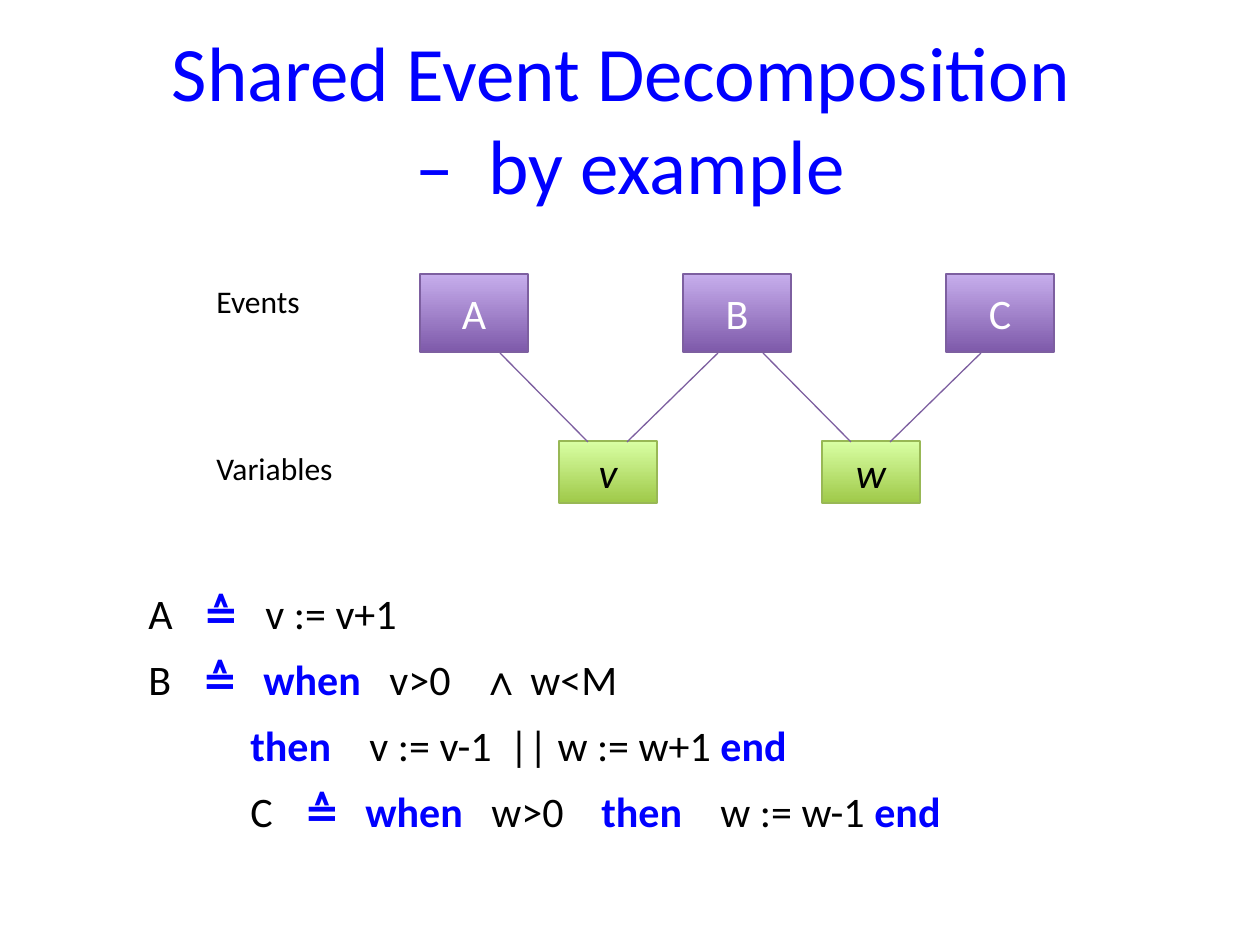
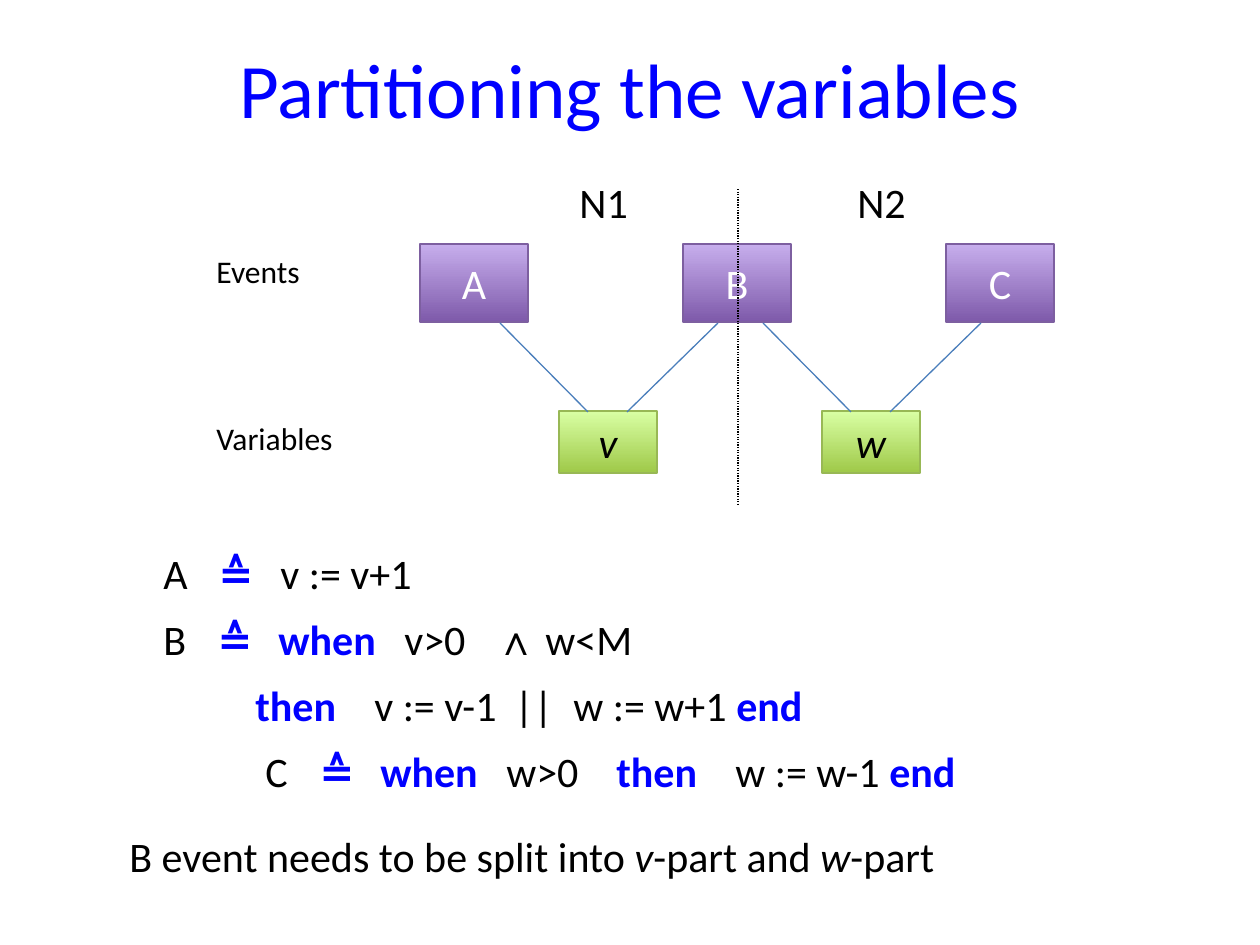
from dataclasses import dataclass

from pptx import Presentation
from pptx.dml.color import RGBColor
from pptx.enum.dml import MSO_LINE_DASH_STYLE as Dash
from pptx.enum.shapes import MSO_CONNECTOR as Connector, MSO_SHAPE as Preset
from pptx.enum.text import MSO_ANCHOR as Anchor, PP_ALIGN as Align
from pptx.oxml.ns import qn
from pptx.util import Emu, Pt
from lxml.etree import SubElement

PX_PER_INCH = 126
TITLE_ONLY = 5


@dataclass(frozen=True)
class Theme:
    font: str = "Calibri"
    symbol_font: str = "Arial"
    blue: str = "0000FF"
    black: str = "000000"
    white: str = "FFFFFF"
    event_fill: tuple = ("7E5AAA", "C7AEED")
    event_line: str = "7D5FA0"
    variable_fill: tuple = ("9FC949", "D9FFA4")
    variable_line: str = "98B855"
    link_blue: str = "4A7EBB"
    title_size: int = 44
    body_size: int = 24
    label_size: int = 18
    line_width: float = 0.75
    code_gap: int = 9


THEME = Theme()

# Run styles: what differs from plain black body text
PLAIN = {}
KEYWORD = {"color": THEME.blue, "bold": True}
SYMBOL = {"font": THEME.symbol_font}
ITALIC = {"italic": True}
LABEL = {"size": THEME.label_size}
TITLE = {"size": THEME.title_size, "color": THEME.blue}

# Diagram grid
PITCH = 263
EVENT_LEFT, EVENT_WIDTH, EVENT_HEIGHT = 420, 108, 78
VARIABLE_LEFT, VARIABLE_WIDTH, VARIABLE_HEIGHT = 559, 98, 62
VARIABLE_DROP = 167


def px(length):
    return Emu(round(length * 914400 / PX_PER_INCH))


def rgb(value):
    return RGBColor.from_string(value)


# Text
def add_run(paragraph, text, size=THEME.body_size, color=THEME.black,
            font=THEME.font, bold=False, italic=False):
    run = paragraph.add_run()
    run.text = text
    run.font.name = font
    run.font.size = Pt(size)
    run.font.color.rgb = rgb(color)
    run.font.bold = bold
    run.font.italic = italic


def add_runs(paragraph, runs):
    for text, style in runs:
        add_run(paragraph, text, **style)


def set_tab_stops(paragraph, stops):
    tab_list = SubElement(paragraph._p.get_or_add_pPr(), qn("a:tabLst"))
    for stop in stops:
        SubElement(tab_list, qn("a:tab"), pos=str(px(stop)), algn="l")


def add_text(shapes, box, runs):
    frame = shapes.add_textbox(*map(px, box)).text_frame
    frame.word_wrap = True
    add_runs(frame.paragraphs[0], runs)
    return frame


def set_title(slide, box, lines):
    title = slide.shapes.title
    title.left, title.top, title.width, title.height = map(px, box)
    title.text_frame.vertical_anchor = Anchor.MIDDLE
    paragraph = title.text_frame.paragraphs[0]
    paragraph.alignment = Align.CENTER
    for index, line in enumerate(lines):
        if index:
            paragraph.add_line_break()
        add_run(paragraph, line, **TITLE)


# Diagram parts
def add_box(shapes, box, text, style, gradient, outline):
    shape = shapes.add_shape(Preset.RECTANGLE, *map(px, box))
    shape.shadow.inherit = False
    shape.fill.gradient()
    shape.fill.gradient_angle = 90
    for stop, color in zip(shape.fill.gradient_stops, gradient):
        stop.color.rgb = rgb(color)
    shape.line.color.rgb = rgb(outline)
    shape.line.width = Pt(THEME.line_width)
    shape.text_frame.vertical_anchor = Anchor.MIDDLE
    paragraph = shape.text_frame.paragraphs[0]
    paragraph.alignment = Align.CENTER
    add_run(paragraph, text, **style)


def add_line(shapes, start, end, color, dash=None):
    line = shapes.add_connector(Connector.STRAIGHT, *map(px, start + end))
    line.line.color.rgb = rgb(color)
    line.line.width = Pt(THEME.line_width)
    if dash:
        line.line.dash_style = dash
    SubElement(line._element.spPr, qn("a:effectLst"))


def add_diagram(slide, top, link_color):
    """Events in the upper row, each variable linked to the two beside it."""
    shapes = slide.shapes.add_group_shape().shapes
    variable_top = top + VARIABLE_DROP
    add_text(shapes, (204, top + 2, 131, 49), [("Events", LABEL)])
    add_text(shapes, (204, variable_top + 2, 170, 49), [("Variables", LABEL)])
    for column, event in enumerate("ABC"):
        box = (EVENT_LEFT + column * PITCH, top, EVENT_WIDTH, EVENT_HEIGHT)
        add_box(shapes, box, event, {"color": THEME.white},
                THEME.event_fill, THEME.event_line)
    for column, variable in enumerate("vw"):
        shift = column * PITCH
        box = (VARIABLE_LEFT + shift, variable_top,
               VARIABLE_WIDTH, VARIABLE_HEIGHT)
        add_box(shapes, box, variable, ITALIC,
                THEME.variable_fill, THEME.variable_line)
        for event_x, variable_x in ((500, 588), (718, 627)):
            add_line(shapes, (event_x + shift, top + EVENT_HEIGHT + 1),
                     (variable_x + shift, variable_top + 1), link_color)
    return shapes


# Event definitions, aligned with tab stops
def add_event_code(slide, box, then_stops, then_action):
    lines = [
        ((55, 117), [("A", PLAIN), ("\t≙\t", KEYWORD), ("v := v+1", PLAIN)]),
        ((54, 115, 241, 332, 382),
         [("B", PLAIN), ("\t≙\twhen\t", KEYWORD), ("v>0\t", PLAIN),
          ("∧", SYMBOL), ("\tw<M", PLAIN)]),
        (then_stops,
         [("\tthen\t", KEYWORD), (then_action, PLAIN), ("end", KEYWORD)]),
        ((102, 156, 217, 343, 453, 572),
         [("\tC", PLAIN), ("\t≙\twhen\t", KEYWORD), ("w>0\t", PLAIN),
          ("then\t", KEYWORD), ("w := w-1 ", PLAIN), ("end", KEYWORD)]),
    ]
    frame = add_text(slide.shapes, box, [])
    for index, (stops, runs) in enumerate(lines):
        paragraph = frame.add_paragraph() if index else frame.paragraphs[0]
        paragraph.space_before = Pt(THEME.code_gap)
        set_tab_stops(paragraph, stops)
        add_runs(paragraph, runs)


# Slides
def add_slide(presentation):
    return presentation.slides.add_slide(
        presentation.slide_layouts[TITLE_ONLY])


def build_example(presentation):
    slide = add_slide(presentation)
    set_title(slide, (0, -28, 1260, 290),
              ["Shared Event Decomposition ", "–  by example"])
    add_diagram(slide, 274, THEME.event_line)
    add_event_code(slide, (136, 581, 988, 261), (102, 221, 361),
                   "v := v-1\t|| w := w+1 ")


def build_partitioning(presentation):
    slide = add_slide(presentation)
    set_title(slide, (63, -11, 1134, 198), ["Partitioning the variables"])
    add_event_code(slide, (151, 541, 958, 261), (92, 211, 351, 410),
                   "v := v-1\t||\tw := w+1 ")
    add_text(slide.shapes, (117, 824, 1026, 63),
             [("B event needs to be split into ", PLAIN), ("v", ITALIC),
              ("-part and ", PLAIN), ("w", ITALIC), ("-part", PLAIN)])
    diagram = add_diagram(slide, 244, THEME.link_blue)
    for left, part in ((567, "N1"), (845, "N2")):
        add_text(diagram, (left, 170, 82, 62), [(part, PLAIN)])
    add_line(diagram, (738, 189), (738, 505), THEME.black, Dash.ROUND_DOT)


def main():
    presentation = Presentation()
    presentation.slide_width, presentation.slide_height = px(1260), px(945)
    build_example(presentation)
    build_partitioning(presentation)
    presentation.save("out.pptx")


if __name__ == "__main__":
    main()
